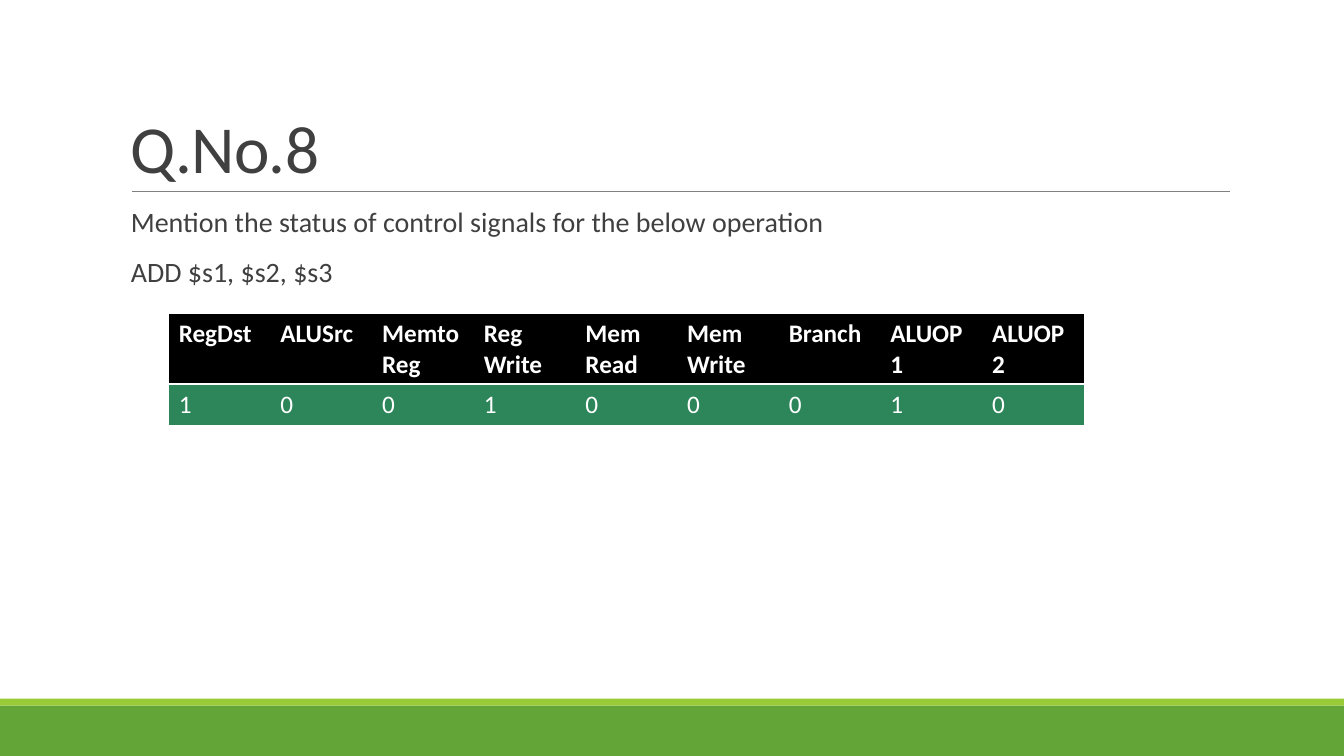
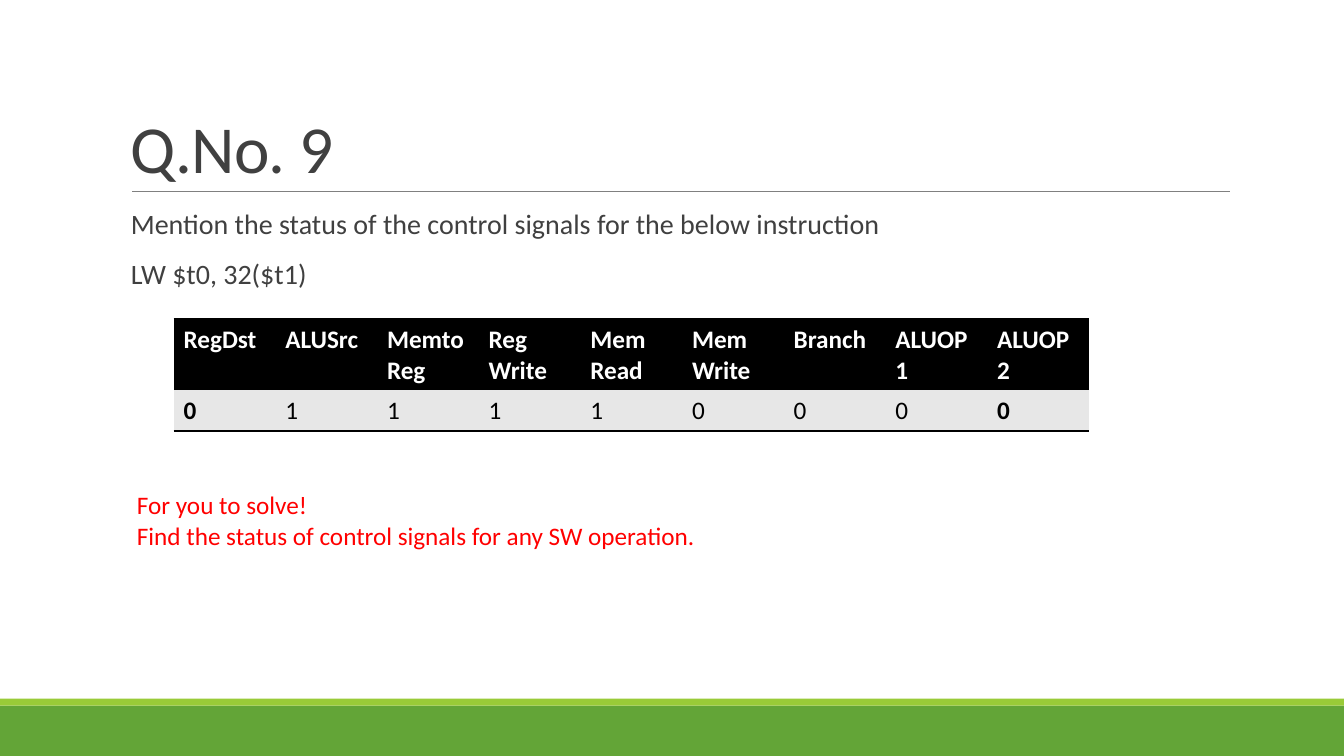
from lxml.etree import SubElement
from pptx import Presentation
from pptx.dml.color import RGBColor
from pptx.enum.shapes import MSO_CONNECTOR as CONN, MSO_SHAPE as SHAPE
from pptx.enum.text import MSO_ANCHOR as ANCHOR
from pptx.oxml import parse_xml
from pptx.oxml.ns import nsdecls, qn
from pptx.util import Pt

W, H = 960, 540
FONT = "Calibri"
GREEN, LIME, GRAY, INK = "63A537", "99CB38", "808080", "404040"
BLACK, WHITE, RED = "000000", "FFFFFF", "FF0000"
TEAL, SILVER = "2C8659", "E7E7E7"
NO_TABLE_STYLE = "{2D5ABB26-0587-4C30-8999-92F81FD0307C}"

SIGNALS = ["RegDst", "ALUSrc", "Memto\nReg", "Reg\nWrite", "Mem\nRead",
           "Mem\nWrite", "Branch", "ALUOP1", "ALUOP2"]


def rgb(value):
    return RGBColor.from_string(value)


class Deck:
    def __init__(self):
        self.prs = Presentation()
        self.prs.slide_width, self.prs.slide_height = Pt(W), Pt(H)
        self.s = None

    def slide(self, title):
        """Start a slide with its bands, rule and title."""
        self.s = self.prs.slides.add_slide(self.prs.slide_layouts[6])
        self.band(504, 36, GREEN)
        self.band(499, 5, LIME)
        self.rule(94.5, 878.75, 136.9)
        tf = self.text(86.4, 22.5, 792, 114.5, [title], 48, INK, line=0.85)
        tf.vertical_anchor = ANCHOR.BOTTOM
        tf.paragraphs[0].runs[0].font._element.set("spc", "-50")

    def band(self, y, h, color):
        sp = self.s.shapes.add_shape(SHAPE.RECTANGLE, 0, Pt(y), Pt(W), Pt(h))
        sp.shadow.inherit = False
        sp.fill.solid()
        sp.fill.fore_color.rgb = rgb(color)
        sp.line.fill.background()

    def rule(self, x1, x2, y):
        ln = self.s.shapes.add_connector(CONN.STRAIGHT, Pt(x1), Pt(y), Pt(x2), Pt(y))
        ln.line.color.rgb = rgb(GRAY)
        ln.line.width = Pt(0.5)
        SubElement(ln._element.spPr, qn("a:effectLst"))

    def add_lines(self, tf, lines, size, color, bold=False):
        for i, line in enumerate(lines):
            p = tf.paragraphs[0] if i == 0 else tf.add_paragraph()
            r = p.add_run()
            r.text = line
            r.font.name, r.font.size, r.font.bold = FONT, Pt(size), bold
            r.font.color.rgb = rgb(color)

    def text(self, x, y, w, h, lines, size, color, line=1.0, before=0, after=0):
        tf = self.s.shapes.add_textbox(Pt(x), Pt(y), Pt(w), Pt(h)).text_frame
        tf.word_wrap = True
        self.add_lines(tf, lines, size, color)
        for p in tf.paragraphs:
            p.line_spacing = line
            p.space_before, p.space_after = Pt(before), Pt(after)
        return tf

    def question(self, y, h, lines):
        self.text(86.4, y, 792, h, lines, 20, INK, line=0.9, before=12, after=2)

    def border(self, cell, side, color):
        """Draw one edge of a cell."""
        ln = parse_xml(
            f'<a:{side} {nsdecls("a")} w="25400"><a:solidFill>'
            f'<a:srgbClr val="{color}"/></a:solidFill></a:{side}>')
        cell._tc.get_or_add_tcPr().insert(0, ln)

    def signals(self, x, y, values, fill, color, borders, bold=()):
        """Control signal table; borders lists (row, side, color)."""
        n = len(SIGNALS)
        col_w, heights = 72.64, (50.4, 29.2)
        table = self.s.shapes.add_table(
            2, n, Pt(x), Pt(y), Pt(col_w * n), Pt(sum(heights))).table
        table._tbl.tblPr.find(qn("a:tableStyleId")).text = NO_TABLE_STYLE
        for col in table.columns:
            col.width = Pt(col_w)
        rows = [(SIGNALS, BLACK, WHITE), (values, fill, color)]
        for i, (texts, back, ink) in enumerate(rows):
            table.rows[i].height = Pt(heights[i])
            for j, text in enumerate(texts):
                cell = table.cell(i, j)
                cell.fill.solid()
                cell.fill.fore_color.rgb = rgb(back)
                self.add_lines(cell.text_frame, text.split("\n"), 18, ink,
                               bold=i == 0 or j in bold)
                for row, side, edge in borders:
                    if row == i:
                        self.border(cell, side, edge)


def main():
    deck = Deck()

    # Question 8: register addition
    deck.slide("Q.No.8")
    deck.question(145.4, 317, [
        "Mention the status of control signals for the below operation",
        "ADD $s1, $s2, $s3"])
    deck.signals(120.5, 224, "100100010", TEAL, WHITE, [(0, "lnB", WHITE)])

    # Question 9: load word, with an exercise
    deck.slide("Q.No. 9")
    deck.question(146.9, 74, [
        "Mention the status of the control signals for the below instruction",
        "LW $t0, 32($t1)"])
    deck.signals(124, 228.2, "011110000", SILVER, BLACK,
                 [(0, "lnT", BLACK), (1, "lnB", BLACK)], bold=(0, 8))
    deck.text(90.7, 346.3, 783, 51, [
        "For you to solve!",
        "Find the status of control signals for any SW operation."], 18, RED)

    deck.prs.save("out.pptx")


if __name__ == "__main__":
    main()
